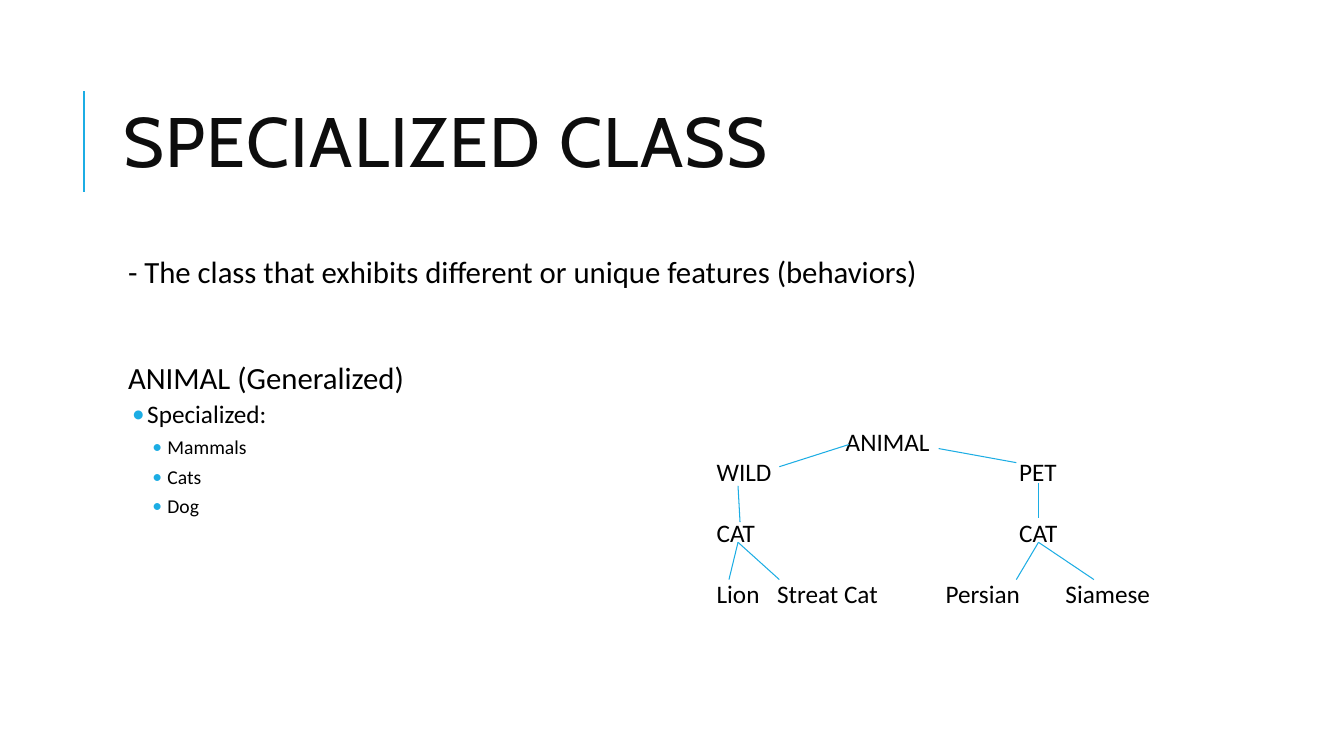
from lxml import etree
from pptx import Presentation
from pptx import util as u
from pptx.dml.color import RGBColor
from pptx.enum import shapes, text
from pptx.oxml.ns import qn

COLORS = {"title": "0D0D0D", "body": "000000", "accent": "1CADE4"}


def style_font(para, name, size, color):
    para.font.name = name
    para.font.size = u.Pt(size)
    para.font.color.rgb = RGBColor.from_string(COLORS[color])


def add_line(page, start, end, width):
    ends = [u.Inches(value) for value in (*start, *end)]
    line = page.shapes.add_connector(shapes.MSO_CONNECTOR.STRAIGHT, *ends)
    line.line.color.rgb = RGBColor.from_string(COLORS["accent"])
    line.line.width = u.Pt(width)
    etree.SubElement(line._element.spPr, qn("a:effectLst"))


deck = Presentation()
deck.slide_width, deck.slide_height = u.Inches(13.33), u.Inches(7.5)
page = deck.slides.add_slide(deck.slide_layouts[1])
title, body = page.placeholders

# Title with the accent rule on its left
add_line(page, (0.83, 1.9), (0.83, 0.9), 1.5)
title.left, title.top = u.Inches(1.12), u.Inches(0.64)
title.width, title.height = u.Inches(10.63), u.Inches(1.64)
title.text_frame.text = "SPECIALIZED CLASS"
title.text_frame.vertical_anchor = text.MSO_ANCHOR.MIDDLE
title.text_frame.auto_size = text.MSO_AUTO_SIZE.NONE
para = title.text_frame.paragraphs[0]
para.alignment = text.PP_ALIGN.LEFT
para.line_spacing = 0.8
style_font(para, "Cabin", 50, "title")
para._p.pPr.get_or_add_defRPr().set("spc", "100")

# Definition and list
body.left, body.top = u.Inches(1.12), u.Inches(2.5)
body.width, body.height = u.Inches(10.63), u.Inches(4.4)
frame = body.text_frame
frame.auto_size = text.MSO_AUTO_SIZE.NONE
frame.margin_left = frame.margin_right = u.Inches(0.05)
frame.margin_top = frame.margin_bottom = u.Inches(0.05)

# Per level: size, left margin, first-line indent, space after
LEVELS = [(22, 0.1, 0, 2), (18, 0.29, -0.15, 4), (14, 0.49, -0.15, 4)]
ITEMS = [  # wording, level, space before
    ("- The class that exhibits different or unique features (behaviors)", 0, 12),
    ("ANIMAL (Generalized)", 0, 50),
    ("Specialized:", 1, 2),
    ("Mammals", 2, 2),
    ("Cats", 2, 2),
    ("Dog", 2, 2),
]
for index, (wording, level, before) in enumerate(ITEMS):
    size, margin, indent, after = LEVELS[level]
    para = frame.add_paragraph() if index else frame.paragraphs[0]
    para.text, para.level = wording, level
    para.line_spacing = 0.9
    para.space_before, para.space_after = u.Pt(before), u.Pt(after)
    props = para._p.get_or_add_pPr()
    props.set("marL", str(u.Inches(margin)))
    props.set("indent", str(u.Inches(indent)))
    if level:
        color = etree.SubElement(props, qn("a:buClr"))
        etree.SubElement(color, qn("a:srgbClr"), val=COLORS["accent"])
        etree.SubElement(props, qn("a:buFont"), typeface="Calibri")
        etree.SubElement(props, qn("a:buChar"), char="•")
    else:
        etree.SubElement(props, qn("a:buNone"))
    style_font(para, "Calibri", size, "body")

# Class tree: each row sets its labels on tab stops
tree = page.shapes.add_textbox(
    u.Inches(7.01), u.Inches(4.18), u.Inches(5.07), u.Inches(1.92))
tree.text_frame.word_wrap = True
ROWS = [  # wording, tab stops, space before
    ("\tANIMAL", [1.28], 0),
    ("WILD\tPET", [3], 0),
    ("CAT\tCAT", [3], 22),
    ("Lion\tStreat Cat\tPersian\tSiamese", [0.6, 2.27, 3.46], 22),
]
for index, (wording, stops, before) in enumerate(ROWS):
    para = tree.text_frame.add_paragraph() if index else tree.text_frame.paragraphs[0]
    para.text = wording
    para.space_before = u.Pt(before)
    tabs = etree.SubElement(para._p.get_or_add_pPr(), qn("a:tabLst"))
    for stop in stops:
        etree.SubElement(tabs, qn("a:tab"), pos=str(u.Inches(stop)), algn="l")
    style_font(para, "Calibri", 18, "body")

BRANCHES = [
    ((8.42, 4.41), (7.73, 4.63)),
    ((9.31, 4.45), (10.08, 4.59)),
    ((7.32, 4.82), (7.34, 5.18)),
    ((10.3, 4.79), (10.3, 5.14)),
    ((7.32, 5.38), (7.23, 5.75)),
    ((7.32, 5.38), (7.73, 5.75)),
    ((10.3, 5.38), (10.08, 5.75)),
    ((10.3, 5.38), (10.85, 5.75)),
]
for start, end in BRANCHES:
    add_line(page, start, end, 0.75)

deck.save("out.pptx")
